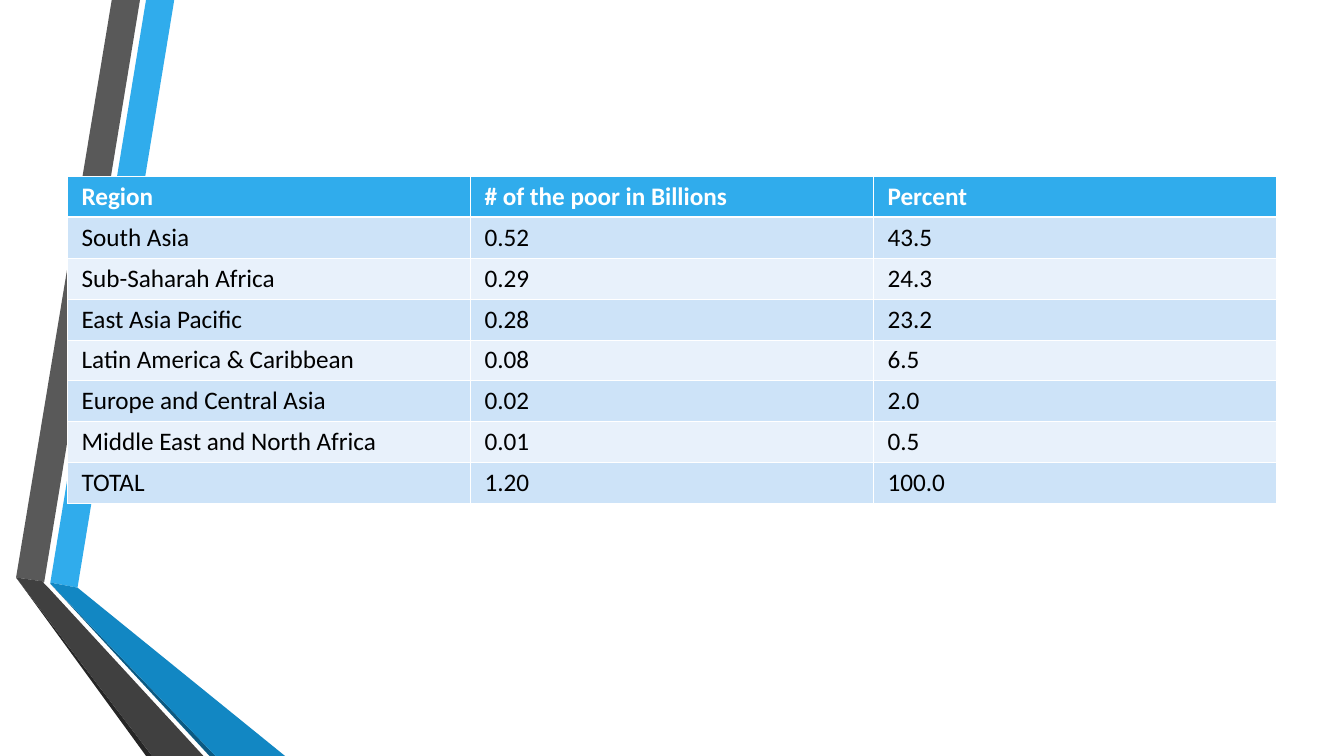
from lxml import etree
from pptx import Presentation
from pptx.dml.color import RGBColor
from pptx.enum.text import MSO_ANCHOR
from pptx.oxml.ns import qn
from pptx.util import Inches, Pt

TOP = MSO_ANCHOR.TOP

ROWS = [
    ("Region", "# of the poor in Billions", "Percent"),
    ("South Asia", "0.52", "43.5"),
    ("Sub-Saharah Africa", "0.29", "24.3"),
    ("East Asia Pacific", "0.28", "23.2"),
    ("Latin America & Caribbean", "0.08", "6.5"),
    ("Europe and Central Asia", "0.02", "2.0"),
    ("Middle East and North Africa", "0.01", "0.5"),
    ("TOTAL", "1.20", "100.0"),
]
BANDS = [
    ("30ACEC", [(0.5, 5.78), (0.77, 5.83), (1.73, 0), (1.45, 0)]),
    ("595959", [(1.39, 0), (1.11, 0), (0.16, 5.73), (0.44, 5.77)]),
    ("262626", [(0.16, 5.73), (1.45, 7.5), (1.51, 7.5)]),
    ("0C5A82", [(0.5, 5.79), (2.08, 7.5), (2.14, 7.5)]),
    ("1287C3", [(0.5, 5.79), (2.14, 7.5), (2.83, 7.5), (0.77, 5.83), (0.5, 5.78)]),
    ("404040", [(2.02, 7.5), (0.48, 5.83), (0.43, 5.78), (0.44, 5.77),
                (0.16, 5.73), (1.51, 7.5)]),
]
WHITE, BLACK = "FFFFFF", "000000"
HEAD, ODD, EVEN = "30ACEC", "CDE3F8", "E8F1FB"
LEFT, UP, WIDTH, HIGH = 0.67, 1.75, 12, 3.24
THIN, THICK = 0.45, 1.47
INSETS = {
    "margin_left": Inches(0.14), "margin_right": Inches(0.14),
    "margin_top": Inches(0.05), "margin_bottom": Inches(0.05),
    "vertical_anchor": TOP,
}


def paint(fill, color):
    fill.solid()
    fill.fore_color.rgb = RGBColor.from_string(color)


def add_band(slide, color, points):
    dots = [(Inches(x), Inches(y)) for x, y in points]
    pen = slide.shapes.build_freeform(*dots[0])
    pen.add_line_segments(dots[1:], close=True)
    band = pen.convert_to_shape()
    band.shadow.inherit = False
    paint(band.fill, color)
    band.line.fill.background()


def add_edges(cell, row):
    props = cell._tc.get_or_add_tcPr()
    sizes = {"L": THIN, "R": THIN, "T": THICK if row == 1 else THIN,
             "B": THICK if row == 0 else THIN}
    for side, size in sizes.items():
        edge = etree.SubElement(props, qn("a:ln" + side), w=str(Pt(size)))
        fill = etree.SubElement(edge, qn("a:solidFill"))
        etree.SubElement(fill, qn("a:srgbClr"), val=WHITE)


def fill_cell(cell, row, text):
    head = row == 0
    for name, value in INSETS.items():
        setattr(cell, name, value)
    add_edges(cell, row)
    paint(cell.fill, HEAD if head else ODD if row % 2 else EVEN)
    cell.text = text
    font = cell.text_frame.paragraphs[0].runs[0].font
    for name, value in {"name": "Calibri", "size": Pt(18), "bold": head}.items():
        setattr(font, name, value)
    paint(font.fill, WHITE if head else BLACK)


def add_grid(slide):
    count, wide = len(ROWS), len(ROWS[0])
    grid = slide.shapes.add_table(
        count, wide, Inches(LEFT), Inches(UP), Inches(WIDTH), Inches(HIGH)).table
    for r, texts in enumerate(ROWS):
        for c, text in enumerate(texts):
            fill_cell(grid.cell(r, c), r, text)


def main():
    deck = Presentation()
    deck.slide_width, deck.slide_height = Inches(13.34), Inches(7.5)
    slide = deck.slides.add_slide(deck.slide_layouts[6])
    for color, points in BANDS:
        add_band(slide, color, points)
    add_grid(slide)
    deck.save("out.pptx")


if __name__ == "__main__":
    main()
